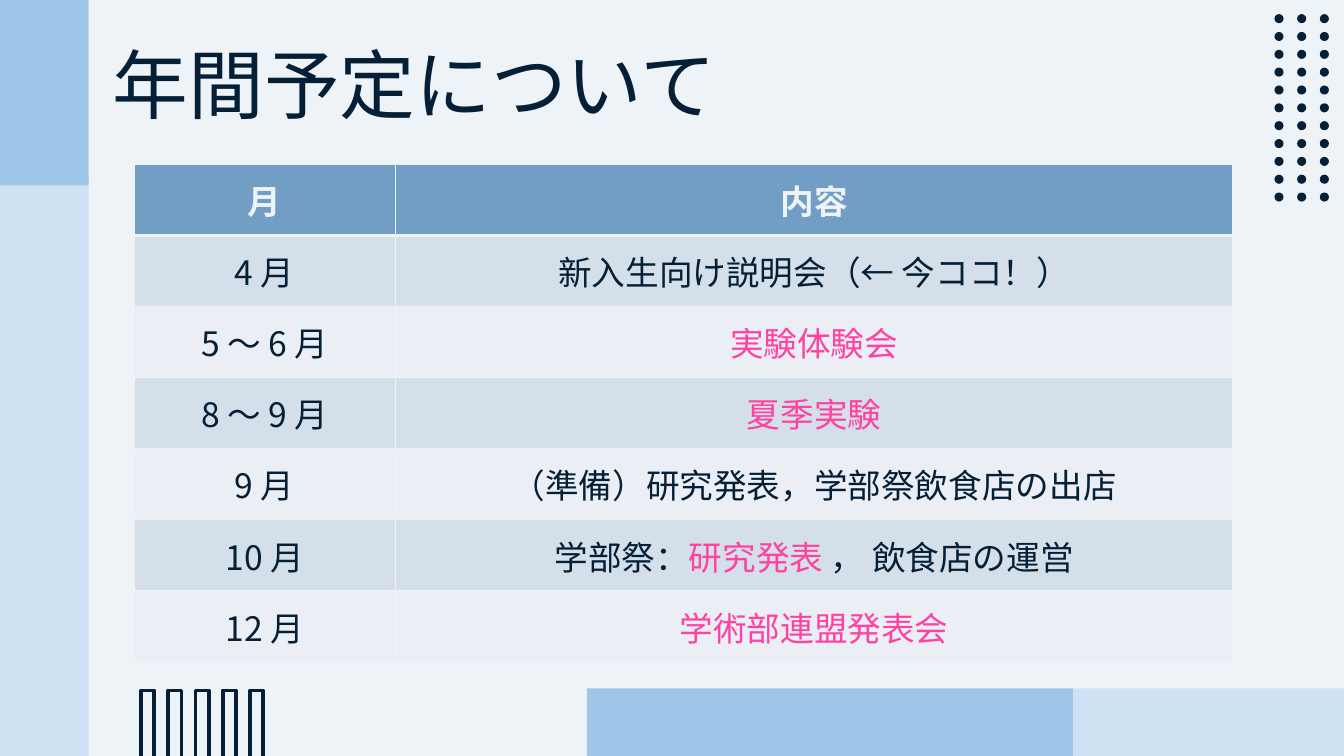
"""Build the yearly schedule slide."""
from lxml import etree
from pptx import Presentation
from pptx.dml.color import RGBColor
from pptx.enum.shapes import MSO_SHAPE
from pptx.enum.text import MSO_ANCHOR, MSO_AUTO_SIZE, PP_ALIGN
from pptx.oxml.ns import qn
from pptx.util import Inches, Pt

COLORS = {"back": "EEF3F8", "ink": "041F36", "pink": "FF42A1", "head": "729DC5",
          "odd": "D5DFEA", "even": "EBEFF5", "pale": "CFE2F3", "sky": "9FC5E8"}
KR, JP = "Noto Sans CJK KR", "Noto Sans CJK JP"
TITLE = "年間予定について"
HEADS = ["月", "内容"]
PLANS = [
    ("4 月", [("新入生向け説明会（← 今ココ！）", "ink")]),
    ("5 ～ 6 月", [("実験体験会", "pink")]),
    ("8 ～ 9 月", [("夏季実験", "pink")]),
    ("9 月", [("（準備）研究発表，学部祭飲食店の出店", "ink")]),
    ("10 月", [("学部祭：", "ink"), ("研究発表 ", "pink"), ("， 飲食店の運営", "ink")]),
    ("12 月", [("学術部連盟発表会", "pink")]),
]
BLOCKS = [("pale", 0, 1.75, 0.88, 5.75), ("sky", 0, 0, 0.88, 1.84),
          ("pale", 10.63, 6.83, 2.7, 0.67), ("sky", 5.82, 6.83, 4.82, 0.67)]
WIDTHS = [2.59, 8.31]
BARS, DOTS = 5, (3, 11)


def rgb(name):
    return RGBColor.from_string(COLORS[name])


def write(frame, runs, font=KR, size=24, bold=False, align=PP_ALIGN.CENTER, space=1):
    para = frame.paragraphs[0]
    para.alignment = align
    para.line_spacing = space
    para.space_before = Pt(0)
    for text, color in runs:
        run = para.add_run()
        run.text = text
        run.font.name, run.font.size, run.font.bold = font, Pt(size), bold
        run.font.color.rgb = rgb(color)
        etree.SubElement(run.font._element, qn("a:ea"), typeface=font)


def draw(slide, kind, box, fill=None, line=None):
    shape = slide.shapes.add_shape(kind, *map(Inches, box))
    shape.shadow.inherit = False
    if fill:
        shape.fill.solid()
        shape.fill.fore_color.rgb = rgb(fill)
    else:
        shape.fill.background()
    if line:
        shape.line.color.rgb = rgb(line)
        shape.line.width = Pt(2.7)
    else:
        shape.line.fill.background()


def border(cell, top, bottom):
    props = cell._tc.get_or_add_tcPr()
    for side, width in (("L", 1), ("R", 1), ("T", top), ("B", bottom)):
        edge = etree.SubElement(props, qn("a:ln" + side), w=str(Pt(width)))
        fill = etree.SubElement(edge, qn("a:solidFill"))
        etree.SubElement(fill, qn("a:srgbClr"), val=COLORS["back"])


def schedule(slide):
    rows = [[[(head, "back")] for head in HEADS]]
    rows += [[[(month, "ink")], plan] for month, plan in PLANS]
    box = map(Inches, (1.33, 1.63, sum(WIDTHS), 4.94))
    table = slide.shapes.add_table(len(rows), len(WIDTHS), *box).table
    for col, width in zip(table.columns, WIDTHS):
        col.width = Inches(width)
    for r, row in enumerate(rows):
        for c, runs in enumerate(row):
            cell = table.cell(r, c)
            border(cell, 3 if r == 1 else 1, 3 if r == 0 else 1)
            cell.fill.solid()
            cell.fill.fore_color.rgb = rgb("head" if r == 0 else "odd" if r % 2 else "even")
            cell.vertical_anchor = MSO_ANCHOR.MIDDLE
            write(cell.text_frame, runs, font=JP if r and c else KR, bold=r == 0)


def main():
    deck = Presentation()
    deck.slide_width, deck.slide_height = Inches(13.33), Inches(7.5)
    slide = deck.slides.add_slide(deck.slide_layouts[5])
    slide.background.fill.solid()
    slide.background.fill.fore_color.rgb = rgb("back")
    for fill, *box in BLOCKS:
        draw(slide, MSO_SHAPE.RECTANGLE, box, fill=fill)
    for i in range(BARS):
        draw(slide, MSO_SHAPE.RECTANGLE, (1.4 + 0.27 * i, 6.85, 0.13, 1.11), line="ink")
    cols, rows = DOTS
    for r in range(rows):
        for c in range(cols):
            spot = (12.64 + 0.45 / (cols - 1) * c, 0.14 + 1.77 / (rows - 1) * r, 0.09, 0.09)
            draw(slide, MSO_SHAPE.OVAL, spot, fill="ink")
    schedule(slide)
    title = slide.shapes.title
    title.left, title.top, title.width, title.height = map(Inches, (1.02, 0.39, 11.54, 0.99))
    frame = title.text_frame
    frame.auto_size = MSO_AUTO_SIZE.NONE
    frame.word_wrap = True
    frame.vertical_anchor = MSO_ANCHOR.MIDDLE
    write(frame, [(TITLE, "ink")], size=54, align=PP_ALIGN.LEFT, space=0.9)
    deck.save("out.pptx")


if __name__ == "__main__":
    main()
